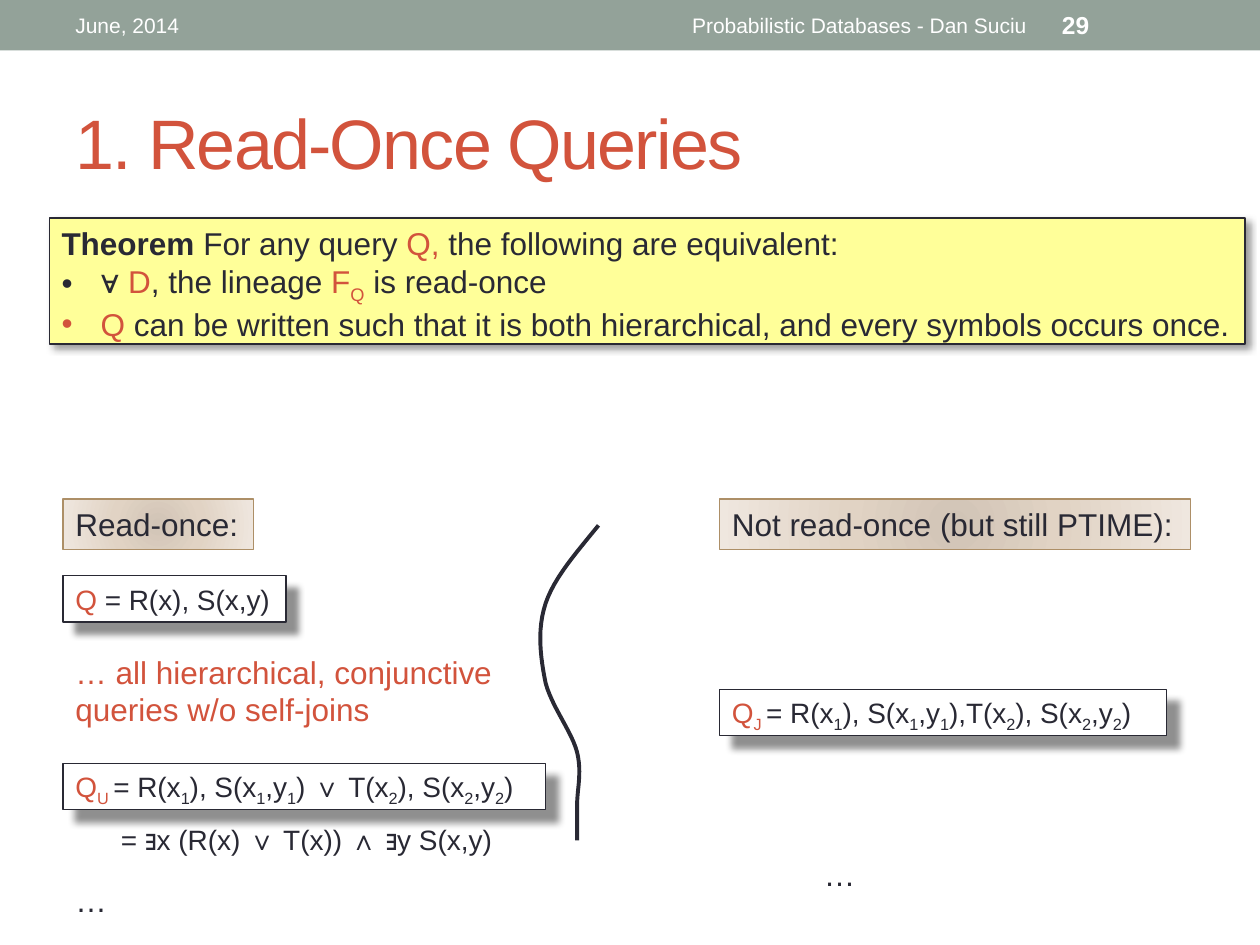
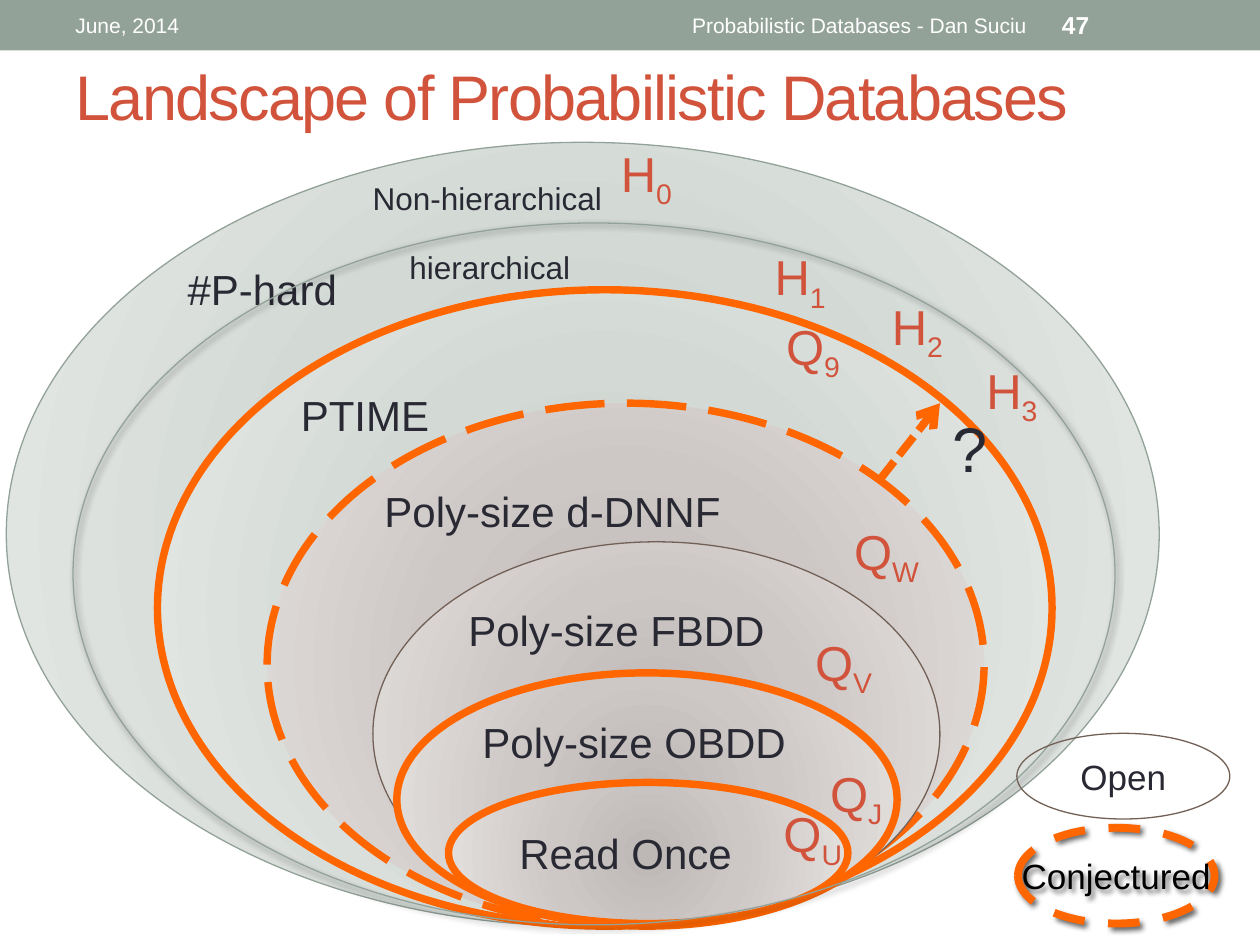
from dataclasses import dataclass
from itertools import groupby

from pptx import Presentation
from pptx.dml.color import RGBColor
from pptx.enum.dml import MSO_LINE as Dash
from pptx.enum.shapes import MSO_CONNECTOR as Connector, MSO_SHAPE as Preset
from pptx.enum.text import MSO_ANCHOR as Anchor, MSO_AUTO_SIZE as AutoSize, PP_ALIGN as Align
from pptx.oxml import parse_xml
from pptx.oxml.ns import nsdecls, qn
from pptx.oxml.xmlchemy import OxmlElement
from pptx.util import Inches, Pt


@dataclass(frozen=True)
class Theme:
    font: str = "Arial"
    band: str = "93A299"
    accent: str = "D2533C"
    ink: str = "292934"
    white: str = "FFFFFF"
    black: str = "000000"
    theorem: str = "FFFF99"
    orange: str = "FF6600"
    brown: str = "726056"
    tan: str = "AD8F67"
    sand: tuple = ("D1C4B6", "E1D3C4", "EFE7DF")
    sage: tuple = ("C4CAC6", "D3DAD6", "E7EAE8")
    stone: tuple = ("BDB8B6", "CDC7C5", "E4E1DF")
    # shadows: opacity in percent, blur and distance in points
    box_shadow: tuple = (43, 4, 10)
    theorem_shadow: tuple = (40, 4, 3)
    ring_shadow: tuple = (60, 3, 2)
    footer: int = 12
    number: int = 14
    formula: int = 16
    body: int = 18
    legend: int = 20
    region: int = 24
    query: int = 28
    heading: int = 40
    heading_small: int = 36
    hairline: float = 0.75
    curve: float = 2.25
    ring: float = 4.25
    thick: float = 4.5


def color(value):
    return RGBColor.from_string(value)


def text_height(size, lines=1):
    return 0.1 + lines * size * 1.2 / 72


def parse_markup(text):
    """Yield (text, accent, bold, subscript): {accent}, <bold>, _ lowers one character."""
    marks = []
    accent = bold = lowered = False
    for char in text:
        if char in "{}":
            accent = char == "{"
        elif char in "<>":
            bold = char == "<"
        elif char == "_":
            lowered = True
        else:
            marks.append((char, accent, bold, lowered))
            lowered = False
    for style, group in groupby(marks, key=lambda mark: mark[1:]):
        yield ("".join(mark[0] for mark in group), *style)


def bezier(start, control_1, control_2, end, steps=12):
    for step in range(1, steps + 1):
        t = step / steps
        weights = ((1 - t) ** 3, 3 * t * (1 - t) ** 2, 3 * t * t * (1 - t), t ** 3)
        yield tuple(sum(w * point[axis] for w, point in
                        zip(weights, (start, control_1, control_2, end))) for axis in (0, 1))


class Painter:
    def __init__(self, theme):
        self.theme = theme
        self.deck = Presentation()
        self.deck.slide_width, self.deck.slide_height = Inches(10), Inches(7.5)
        self.page = None

    def start_page(self, title, size, top, height, number):
        theme = self.theme
        self.page = self.deck.slides.add_slide(self.deck.slide_layouts[5])
        self.shape(Preset.RECTANGLE, 0, 0, 10, 0.4, fill=theme.band)
        heading = self.page.shapes.title
        heading.left, heading.top = Inches(0.5), Inches(top)
        heading.width, heading.height = Inches(9), Inches(height)
        self.set_text(heading, "{" + title + "}", size, anchor=Anchor.MIDDLE)
        for span in heading.text_frame.paragraphs[0].runs:
            span.font._element.set("spc", "-100")
        for text, left, width, size, align in (
                ("June, 2014", 0.5, 3.17, theme.footer, Align.LEFT),
                ("Probabilistic Databases - Dan Suciu", 3.75, 4.5, theme.footer, Align.RIGHT),
                (f"<{number}>", 8.33, 1.17, theme.number, Align.LEFT)):
            box = self.page.shapes.add_textbox(
                Inches(left), Inches(0.02), Inches(width), Inches(0.36))
            self.set_text(box, text, size, theme.white, Anchor.MIDDLE, align)

    def set_text(self, box, text, size, ink=None, anchor=Anchor.TOP, align=Align.LEFT,
                 wrap=True, grow=False, bullets_from=None):
        frame = box.text_frame
        frame.word_wrap = wrap
        frame.auto_size = AutoSize.SHAPE_TO_FIT_TEXT if grow else AutoSize.NONE
        frame.vertical_anchor = anchor
        for index, line in enumerate(text.split("\n")):
            para = frame.add_paragraph() if index else frame.paragraphs[0]
            para.alignment = align
            if bullets_from is not None and index >= bullets_from:
                self.bullet(para)
            for words, accent, bold, lowered in parse_markup(line):
                for part, piece in enumerate(words.split("\v")):
                    if part:
                        para.add_line_break()
                    span = para.add_run()
                    span.text = piece
                    font = span.font
                    font.name, font.size, font.bold = self.theme.font, Pt(size), bold
                    font.color.rgb = color(self.theme.accent if accent else ink or self.theme.ink)
                    if lowered:
                        font._element.set("baseline", "-25000")

    def bullet(self, para):
        props = para._p.get_or_add_pPr()
        props.set("marL", str(Inches(0.31)))
        props.set("indent", str(-Inches(0.31)))
        for tag, key, value in (("a:buFont", "typeface", self.theme.font),
                                ("a:buChar", "char", "•")):
            mark = OxmlElement(tag)
            mark.set(key, value)
            props.append(mark)

    def stroke(self, line, ink, weight, dash=None):
        line.color.rgb = color(ink)
        line.width = Pt(weight)
        if dash:
            line.dash_style = dash

    def shape(self, preset, left, top, width, height, fill=None, line=None,
              weight=None, dash=None, shadow=None):
        """Draw a preset shape; a tuple as fill makes a radial gradient."""
        item = self.page.shapes.add_shape(
            preset, Inches(left), Inches(top), Inches(width), Inches(height))
        item.shadow.inherit = False
        if isinstance(fill, str):
            item.fill.solid()
            item.fill.fore_color.rgb = color(fill)
        else:
            item.fill.background()
        if isinstance(fill, tuple):
            self.radial(item, fill)
        if line:
            self.stroke(item.line, line, weight or self.theme.hairline, dash)
        else:
            item.line.fill.background()
        if shadow:
            self.cast_shadow(item, *shadow)
        return item

    def radial(self, item, tones):
        stops = "".join(f'<a:gs pos="{pos}000"><a:srgbClr val="{tone}"/></a:gs>'
                        for pos, tone in zip((0, 45, 100), tones))
        edges = " ".join(f'{side}="100000"' for side in "ltrb")
        props = item._element.spPr
        props.replace(props.find(qn("a:noFill")), parse_xml(
            f'<a:gradFill {nsdecls("a")} rotWithShape="1"><a:gsLst>{stops}</a:gsLst>'
            f'<a:path path="circle"><a:fillToRect {edges}/></a:path></a:gradFill>'))

    def cast_shadow(self, item, opacity, blur, distance):
        item._element.spPr.find(qn("a:effectLst")).append(parse_xml(
            f'<a:outerShdw {nsdecls("a")} blurRad="{Pt(blur)}" dist="{Pt(distance)}" '
            f'dir="2700000" algn="tl" rotWithShape="0"><a:srgbClr val="{self.theme.black}">'
            f'<a:alpha val="{opacity}000"/></a:srgbClr></a:outerShdw>'))

    def label(self, text, left, top, width, size, lines=1):
        box = self.page.shapes.add_textbox(
            Inches(left), Inches(top), Inches(width), Inches(text_height(size, lines)))
        self.set_text(box, text, size, wrap=False, grow=True)

    def framed(self, text, left, top, width, size, fill, line=None, shadow=None,
               bullets_from=None):
        height = text_height(size, text.count("\n") + 1)
        box = self.shape(Preset.RECTANGLE, left, top, width, height, fill,
                         line or self.theme.ink, shadow=shadow)
        self.set_text(box, text, size, wrap=False, grow=True, bullets_from=bullets_from)

    def oval(self, text, left, top, width, height, ink=None, anchor=Anchor.TOP,
             align=Align.LEFT, size=None, wrap=True, **look):
        ring = self.shape(Preset.OVAL, left, top, width, height, **look)
        if text:
            self.set_text(ring, text, size or self.theme.region, ink, anchor, align, wrap)

    def curve(self, start, segments):
        points = []
        here = start
        for segment in segments:
            points.extend(bezier(here, *segment))
            here = segment[-1]
        builder = self.page.shapes.build_freeform(Inches(start[0]), Inches(start[1]))
        builder.add_line_segments([(Inches(x), Inches(y)) for x, y in points], close=False)
        line = builder.convert_to_shape()
        line.shadow.inherit = False
        line.fill.background()
        self.stroke(line.line, self.theme.ink, self.theme.curve)

    def arrow(self, start, end, ink, weight, dash):
        link = self.page.shapes.add_connector(
            Connector.STRAIGHT, *(Inches(value) for value in (*start, *end)))
        self.stroke(link.line, ink, weight, dash)
        head = OxmlElement("a:tailEnd")
        head.set("type", "arrow")
        link.line._get_or_add_ln().append(head)
        link._element.spPr.append(OxmlElement("a:effectLst"))


def draw_read_once(painter):
    theme = painter.theme
    painter.start_page("1. Read-Once Queries", theme.heading, 0.58, 1.08, 29)
    painter.curve((4.75, 4.17), (
        ((4.58, 4.38), (4.4, 4.58), (4.33, 4.79)),
        ((4.26, 5), (4.29, 5.22), (4.33, 5.42)),
        ((4.38, 5.61), (4.54, 5.81), (4.58, 5.97)),
        ((4.62, 6.13), (4.58, 6.27), (4.58, 6.39)),
        ((4.58, 6.5), (4.58, 6.59), (4.58, 6.67))))
    for text, left, width in (("Read-once:", 0.5, 1.51),
                              ("Not read-once (but still PTIME):", 5.71, 3.74)):
        painter.framed(text, left, 3.96, width, theme.body, theme.sand, theme.tan)
    for text, left, top, width in (
            ("{Q }= R(x), S(x,y)", 0.5, 4.57, 1.77),
            ("{Q_U_ }= R(x_1), S(x_1,y_1) ∨ T(x_2), S(x_2,y_2)", 0.5, 6.06, 3.83),
            ("{Q_J_ }= R(x_1), S(x_1,y_1),T(x_2), S(x_2,y_2)", 5.71, 5.47, 3.55)):
        painter.framed(text, left, top, width, theme.formula, theme.white,
                       shadow=theme.box_shadow)
    painter.label("{… all hierarchical, conjunctive\vqueries w/o self-joins}",
                  0.5, 5.13, 3.54, theme.body, lines=2)
    for left, top in ((0.5, 6.94), (6.44, 6.74)):
        painter.label("…", left, top, 0.45, theme.body)
    painter.framed(
        "<Theorem >For any query {Q, }the following are equivalent:\n"
        "∀{ D}, the lineage {F_Q} is read-once\n"
        "{Q }can be written such that it is both hierarchical, and every symbols occurs once.",
        0.39, 1.73, 9.49, theme.body, theme.theorem, shadow=theme.theorem_shadow, bullets_from=1)
    painter.label(" = ∃x (R(x) ∨ T(x)) ∧ ∃y S(x,y)", 0.8, 6.48, 3.51, theme.formula)


def draw_landscape(painter):
    theme = painter.theme
    painter.start_page("Landscape of Probabilistic Databases", theme.heading_small,
                       0.13, 1.25, 47)
    bold_ring = {"line": theme.orange, "weight": theme.ring}
    painter.oval("#P-hard", 0.05, 1.13, 9.15, 6.22, fill=theme.sage, line=theme.band)
    painter.oval("PTIME", 1.25, 2.3, 7.1, 5.05, fill=theme.sage, **bold_ring)
    painter.oval("Poly-size d-DNNF", 2.12, 3.2, 5.69, 4.15, fill=theme.stone,
                 dash=Dash.LONG_DASH, **bold_ring)
    painter.oval("Poly-size FBDD", 2.96, 4.3, 4.5, 3.05, fill=theme.stone, line=theme.brown)
    painter.oval("Poly-size OBDD", 3.15, 5.34, 3.97, 2.01, fill=theme.stone, **bold_ring)
    painter.oval("Read Once", 3.56, 6.21, 3.17, 1.12, anchor=Anchor.MIDDLE,
                 fill=theme.stone, **bold_ring)
    for name, left, top, width in (
            ("Q_J", 6.49, 6.01, 0.64), ("Q_V", 6.37, 4.97, 0.71), ("Q_W", 6.68, 4.09, 0.78),
            ("Q_9", 6.14, 2.46, 0.65), ("Q_U", 6.12, 6.33, 0.7), ("H_0", 4.83, 1.09, 0.63),
            ("H_1", 6.05, 1.91, 0.63), ("H_2", 6.98, 2.3, 0.63), ("H_3", 7.73, 2.81, 0.63)):
        painter.label("{" + name + "}", left, top, width, theme.query)
    painter.arrow((6.98, 3.81), (7.46, 3.2), theme.orange, theme.thick, Dash.SQUARE_DOT)
    painter.label("?", 7.46, 3.2, 0.48, theme.heading_small)
    painter.oval("Conjectured", 8.08, 6.57, 1.56, 0.76, theme.black, Anchor.MIDDLE,
                 Align.CENTER, theme.legend, wrap=False, line=theme.orange,
                 weight=theme.thick, dash=Dash.DASH, shadow=theme.ring_shadow)
    painter.oval("", 0.58, 1.77, 8.27, 5.57, line=theme.band, shadow=theme.ring_shadow)
    painter.label("hierarchical", 3.15, 1.92, 1.49, theme.body)
    painter.label("Non-hierarchical", 2.86, 1.37, 2.04, theme.body)
    painter.oval("Open", 8.07, 5.82, 1.69, 0.68, theme.ink, Anchor.MIDDLE,
                 Align.CENTER, theme.legend, line=theme.brown)


def main():
    painter = Painter(Theme())
    draw_read_once(painter)
    draw_landscape(painter)
    painter.deck.save("out.pptx")


if __name__ == "__main__":
    main()
